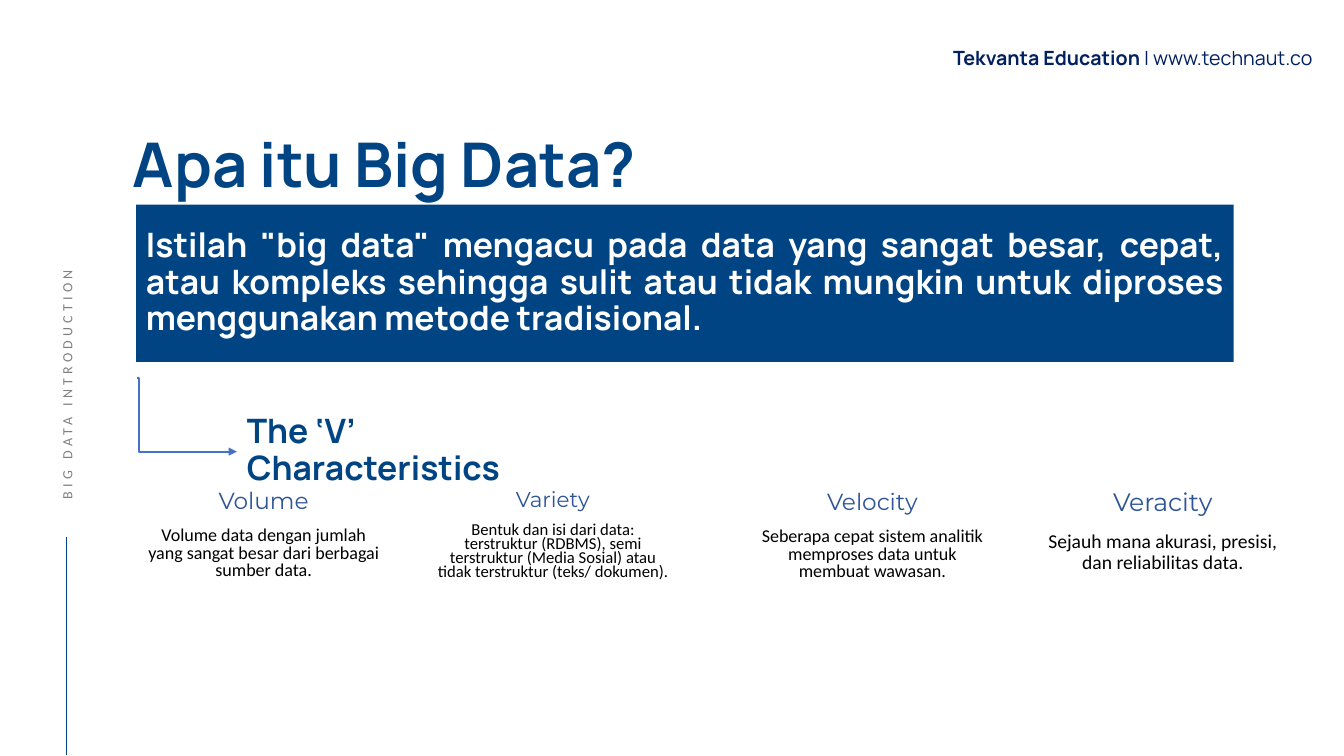
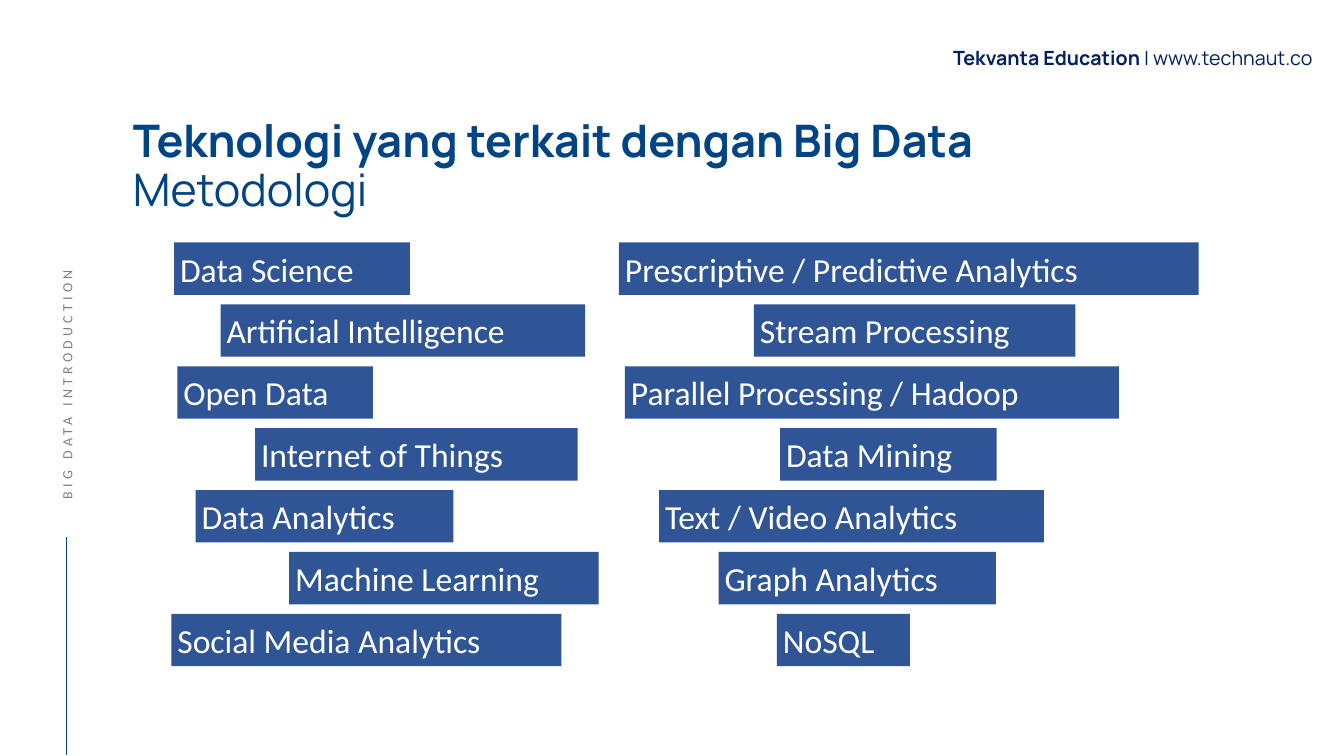
from lxml import etree
from pptx import Presentation
from pptx import util as u
from pptx.dml.color import RGBColor
from pptx.enum import shapes, text
from pptx.oxml import ns

NAVY = RGBColor(0x00, 0x20, 0x60)
BLUE = RGBColor(0x00, 0x44, 0x83)
BAR_BLUE = RGBColor(0x2F, 0x55, 0x97)
ARROW_BLUE = RGBColor(0x44, 0x72, 0xC4)
GREY = RGBColor(0x80, 0x80, 0x80)
BLACK = RGBColor(0x00, 0x00, 0x00)
WHITE = RGBColor(0xFF, 0xFF, 0xFF)
HEADING_FONT, BODY_FONT, CARD_FONT = "Manrope", "Calibri", "Montserrat"

# Name, description, left and top in cm, text scale, line spacing
CHARACTERISTICS = [
    ("Volume", "Volume data dengan jumlah yang sangat besar dari berbagai sumber data.",
     3.43, 12.27, 0.92, 0.8),
    ("Variety", "Bentuk dan isi dari data: terstruktur (RDBMS), semi terstruktur "
     "(Media Sosial) atau tidak terstruktur (teks/ dokumen).",
     10.72, 12.29, 0.85, 0.7),
    ("Velocity", "Seberapa cepat sistem analitik memproses data untuk membuat wawasan.",
     18.77, 12.29, 0.92, 0.8),
    ("Veracity", "Sejauh mana akurasi, presisi, dan reliabilitas data.",
     26.09, 12.22, 1, 0.9),
]

# Two staggered columns of bars: label, left and width in cm
METHOD_COLUMNS = [
    [("Data Science", 4.39, 5.94),
     ("Artificial Intelligence", 5.56, 9.19),
     ("Open Data", 4.47, 4.93),
     ("Internet of Things", 6.43, 8.13),
     ("Data Analytics", 4.93, 6.5),
     ("Machine Learning", 7.29, 7.8),
     ("Social Media Analytics", 4.32, 9.83)],
    [("Prescriptive / Predictive Analytics", 15.6, 14.61),
     ("Stream Processing", 19, 8.1),
     ("Parallel Processing / Hadoop", 15.75, 12.45),
     ("Data Mining", 19.66, 5.46),
     ("Text / Video Analytics", 16.61, 9.7),
     ("Graph Analytics", 18.11, 6.99),
     ("NoSQL", 19.58, 3.35)],
]
BAR_TOP, BAR_STEP, BAR_HEIGHT = 6.11, 1.56, 1.32


def style(paragraph, size, color, font=HEADING_FONT, bold=None,
          align=text.PP_ALIGN.LEFT, spacing=None):
    paragraph.font.size = u.Pt(size)
    paragraph.font.name = font
    paragraph.font.color.rgb = color
    paragraph.font.bold = bold
    paragraph.alignment = align
    paragraph.line_spacing = spacing


def add_text_frame(slide, left, top, width, height, anchor=text.MSO_ANCHOR.TOP):
    box = slide.shapes.add_textbox(u.Cm(left), u.Cm(top), u.Cm(width), u.Cm(height))
    box.text_frame.word_wrap = True
    box.text_frame.vertical_anchor = anchor
    return box.text_frame


def add_bar(slide, label, left, top, width, height, fill):
    bar = slide.shapes.add_shape(shapes.MSO_SHAPE.RECTANGLE,
                                 u.Cm(left), u.Cm(top), u.Cm(width), u.Cm(height))
    bar.shadow.inherit = False
    bar.fill.solid()
    bar.fill.fore_color.rgb = fill
    bar.line.fill.background()
    frame = bar.text_frame
    frame.word_wrap = True
    frame.vertical_anchor = text.MSO_ANCHOR.MIDDLE
    frame.text = label
    return frame


def add_line(slide, kind, start, end, color, width):
    line = slide.shapes.add_connector(kind, *(u.Cm(value) for value in start + end))
    line.line.color.rgb = color
    line.line.width = u.Pt(width)
    etree.SubElement(line._element.spPr, ns.qn("a:effectLst"))
    return line


def add_bent_arrow(slide, start, end, bend):
    """Elbow arrow that turns at `bend`, a share of its width."""
    arrow = add_line(slide, shapes.MSO_CONNECTOR.ELBOW, start, end, ARROW_BLUE, 1.5)
    adjustments = arrow._element.spPr.find(ns.qn("a:prstGeom")).get_or_add_avLst()
    etree.SubElement(adjustments, ns.qn("a:gd"),
                     name="adj1", fmla=f"val {round(bend * 100000)}")
    etree.SubElement(arrow.line._get_or_add_ln(), ns.qn("a:tailEnd"), type="triangle")


def add_base_slide(deck):
    """Blank slide with the header, the side label and the side line."""
    slide = deck.slides.add_slide(deck.slide_layouts[6])

    header = add_text_frame(slide, 19.08, 1.04, 14.25, 0.86).paragraphs[0]
    style(header, 14, NAVY, align=text.PP_ALIGN.RIGHT)
    for words, bold in (("Tekvanta Education ", True), ("| www.technaut.co", False)):
        run = header.add_run()
        run.text = words
        run.font.bold = bold

    side = slide.shapes.add_textbox(u.Cm(-2.84), u.Cm(7.95), u.Cm(9.07), u.Cm(0.69))
    side.rotation = 270
    side.text_frame.word_wrap = True
    label = side.text_frame.paragraphs[0]
    style(label, 10, GREY, BODY_FONT)
    run = label.add_run()
    run.text = "BIG DATA INTRODUCTION"
    run.font._element.set("spc", "300")

    add_line(slide, shapes.MSO_CONNECTOR.STRAIGHT, (1.68, 13.54), (1.68, 19.02), BLUE, 0.5)
    return slide


def add_title(slide, title, size, subtitle=None):
    frame = add_text_frame(slide, 3.1, 2.9, 22.73, 2.64, text.MSO_ANCHOR.MIDDLE)
    paragraph = frame.paragraphs[0]
    style(paragraph, size, BLUE, spacing=0.9)
    run = paragraph.add_run()
    run.text = title
    run.font.bold = True
    if subtitle:
        paragraph.add_line_break()
        paragraph.add_run().text = subtitle


def add_characteristic(slide, name, description, left, top, scale, spacing):
    frame = add_text_frame(slide, left, top, 6.43, 2.57)
    heading, body = frame.paragraphs[0], frame.add_paragraph()
    heading.text, body.text = name, description
    style(heading, 18 * scale, BAR_BLUE, CARD_FONT,
          align=text.PP_ALIGN.CENTER, spacing=spacing)
    style(body, 14 * scale, BLACK, BODY_FONT,
          align=text.PP_ALIGN.CENTER, spacing=spacing)
    body.space_before = u.Pt(10)


def build_definition_slide(deck):
    slide = add_base_slide(deck)
    add_title(slide, "Apa itu Big Data?", 44)

    definition = add_bar(
        slide, 'Istilah "big data" mengacu pada data yang sangat besar, cepat, atau '
        "kompleks sehingga sulit atau tidak mungkin untuk diproses menggunakan "
        "metode tradisional.", 3.43, 5.16, 27.66, 3.96, BLUE)
    style(definition.paragraphs[0], 24, WHITE, bold=True,
          align=text.PP_ALIGN.JUSTIFY, spacing=0.9)

    # Lead-in to the characteristics
    add_bent_arrow(slide, (3.45, 9.53), (5.97, 11.38), 0.02)
    lead_in = add_text_frame(slide, 5.97, 10.59, 8.48, 1.55, text.MSO_ANCHOR.MIDDLE)
    lead_in.text = "The ‘V’ Characteristics"
    style(lead_in.paragraphs[0], 24, BLUE, bold=True, spacing=0.9)

    for characteristic in CHARACTERISTICS:
        add_characteristic(slide, *characteristic)


def build_methods_slide(deck):
    slide = add_base_slide(deck)
    add_title(slide, "Teknologi yang terkait dengan Big Data", 32, "Metodologi")
    for column in METHOD_COLUMNS:
        for row, (label, left, width) in enumerate(column):
            frame = add_bar(slide, label, left, BAR_TOP + row * BAR_STEP,
                            width, BAR_HEIGHT, BAR_BLUE)
            frame.margin_left = frame.margin_right = u.Cm(0.15)
            frame.margin_top = frame.margin_bottom = u.Cm(0.15)
            style(frame.paragraphs[0], 24, WHITE, BODY_FONT)


def main():
    deck = Presentation()
    deck.slide_width, deck.slide_height = u.Cm(33.87), u.Cm(19.05)
    build_definition_slide(deck)
    build_methods_slide(deck)
    deck.save("out.pptx")


if __name__ == "__main__":
    main()
